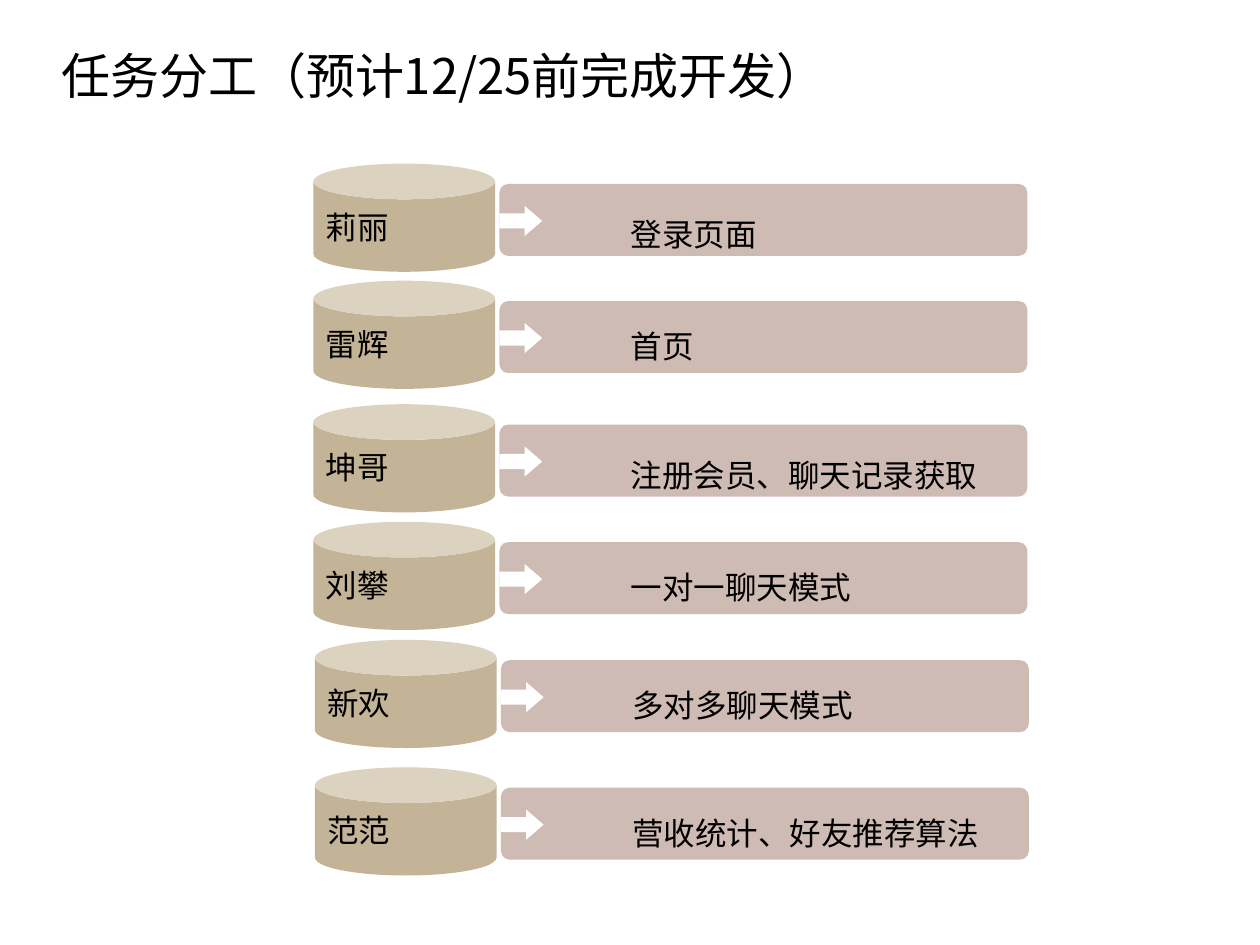
from pptx import Presentation
from pptx.dml.color import RGBColor
from pptx.enum.shapes import MSO_SHAPE
from pptx.enum.text import MSO_ANCHOR, MSO_AUTO_SIZE, PP_ALIGN
from pptx.oxml.ns import qn
from pptx.util import Cm, Pt
from lxml.etree import SubElement

TITLE = "任务分工（预计12/25前完成开发）"

# member, task, row left, row top, task label drop (cm)
ROWS = [
    ("莉丽", "登录页面", 6.32, 3.3, 0.91),
    ("雷辉", "首页", 6.32, 5.66, 0.81),
    ("坤哥", "注册会员、聊天记录获取", 6.32, 8.15, 0.91),
    ("刘攀", "一对一聊天模式", 6.32, 10.52, 0.81),
    ("新欢", "多对多聊天模式", 6.35, 12.9, 0.81),
    ("范范", "营收统计、好友推荐算法", 6.35, 15.47, 0.81),
]

COLORS = {"can": "C3B497", "bar": "CEBBB4", "arrow": "FFFFFF", "text": "000000"}
CJK_FONT = "Noto Sans CJK SC"
NAME_FONT = "Arial"

# kind: preset, offset from the row corner, size (cm), adjustments
PARTS = {
    "can": (MSO_SHAPE.CAN, (0, 0), (3.66, 2.18), [0.33]),
    "bar": (MSO_SHAPE.ROUNDED_RECTANGLE, (3.75, 0.41), (10.64, 1.45), [0.12]),
    "arrow": (MSO_SHAPE.RIGHT_ARROW, (3.75, 0.85), (0.86, 0.61), [0.5, 0.58]),
}
LABEL_OFFSET = 6.15
LABEL_HEIGHT = 1.02
LABEL_INSETS, CHARACTER_WIDTH = 0.51, 0.64


def write(frame, text, size, font):
    frame.word_wrap = False
    para = frame.paragraphs[0]
    para.alignment = PP_ALIGN.LEFT
    span = para.add_run()
    span.text = text
    span.font.size = Pt(size)
    span.font.name = font
    span.font.color.rgb = RGBColor.from_string(COLORS["text"])
    SubElement(span.font._element, qn("a:ea")).set("typeface", CJK_FONT)


def add_label(page, text, left, top, width, height, size):
    box = page.shapes.add_textbox(Cm(left), Cm(top), Cm(width), Cm(height))
    box.text_frame.auto_size = MSO_AUTO_SIZE.SHAPE_TO_FIT_TEXT
    write(box.text_frame, text, size, CJK_FONT)


def add_part(page, kind, row_left, row_top):
    preset, (dx, dy), (width, height), adjustments = PARTS[kind]
    shape = page.shapes.add_shape(
        preset, Cm(row_left + dx), Cm(row_top + dy), Cm(width), Cm(height))
    for index, value in enumerate(adjustments):
        shape.adjustments[index] = value
    shape.shadow.inherit = False
    shape.fill.solid()
    shape.fill.fore_color.rgb = RGBColor.from_string(COLORS[kind])
    shape.line.fill.background()
    return shape


def main():
    deck = Presentation()
    deck.slide_width, deck.slide_height = Cm(25.4), Cm(19.05)
    page = deck.slides.add_slide(deck.slide_layouts[6])
    add_label(page, TITLE, 0.99, 0.79, 16.76, 1.45, 28)

    for member, task, left, top, drop in ROWS:
        can = add_part(page, "can", left, top)
        can.text_frame.vertical_anchor = MSO_ANCHOR.MIDDLE
        write(can.text_frame, member, 18, NAME_FONT)
        add_part(page, "bar", left, top)
        add_part(page, "arrow", left, top)
        width = LABEL_INSETS + CHARACTER_WIDTH * len(task)
        add_label(page, task, left + LABEL_OFFSET, top + drop, width, LABEL_HEIGHT, 18)

    deck.save("out.pptx")


if __name__ == "__main__":
    main()
